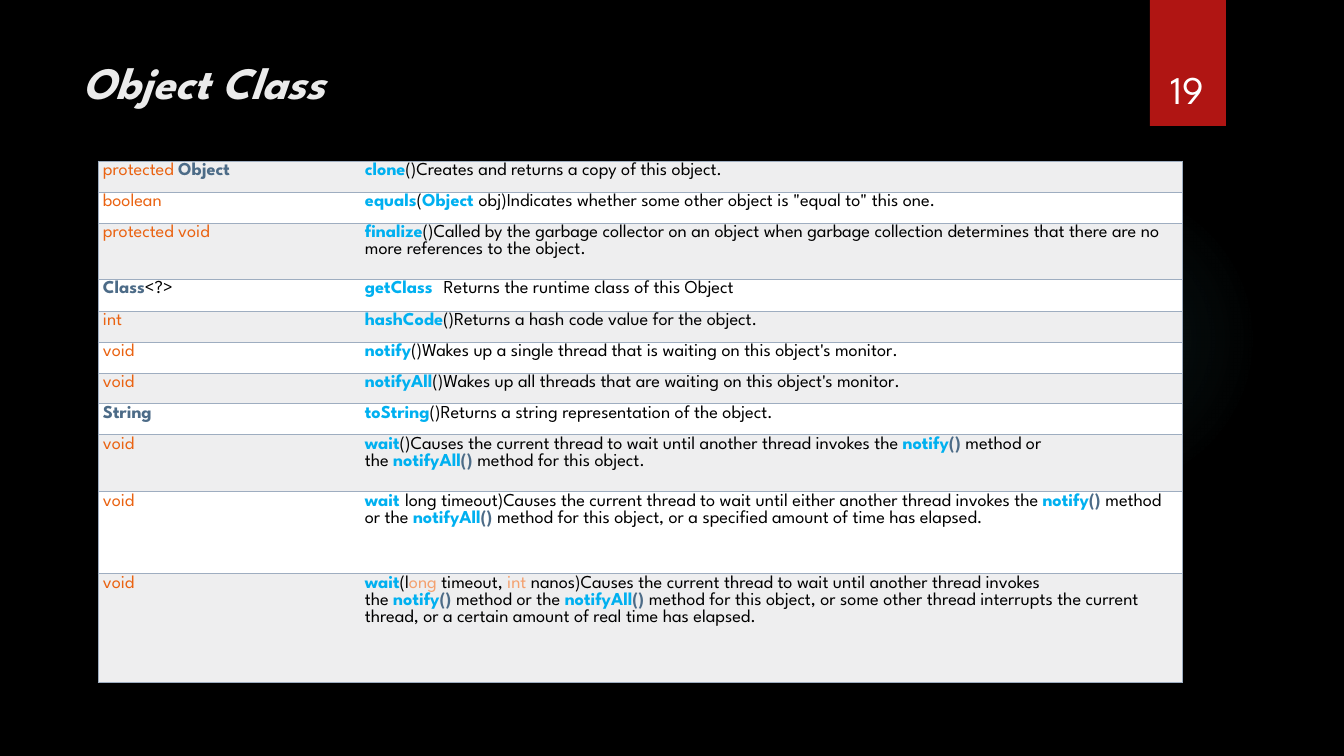
from lxml.etree import SubElement
from pptx import Presentation
from pptx.dml.color import RGBColor
from pptx.enum.shapes import MSO_SHAPE as Shape
from pptx.enum.text import MSO_ANCHOR as Anchor, MSO_AUTO_SIZE as AutoSize, PP_ALIGN as Align
from pptx.oxml import parse_xml
from pptx.oxml.ns import nsdecls, qn
from pptx.util import Pt

EMU_PER_PX = 914400 / 100.8
FONT = "League Spartan"
COLORS = {
    "back": "000000", "title": "EBEBEB", "ribbon": "B01513", "number": "FFFFFF",
    "glow": "50B9C1", "rule": "9EADC0", "band": "EEEEEF", "plain": "FFFFFF",
    "keyword": "EA6312", "type": "4C6B87", "method": "00B0F0",
    "text": "000000", "blank": "FFFFFF", "faded": "F4A16F",
}
BOLD_STYLES = {"type", "method"}

NOTIFY = [("method", "notify"), ("type", "()\u00a0")]
NOTIFY_ALL = [("method", "notifyAll"), ("type", "()\u00a0")]
VOID = [("keyword", "void")]


def method(name, *spans):
    return [("method", name), *spans]


METHODS = [
    (31, [("keyword", "protected\u00a0"), ("type", "Object")],
     method("clone", ("text", "()Creates and returns a copy of this object."))),
    (31, [("keyword", "boolean")],
     method("equals", ("text", "("), ("method", "Object\u00a0"),
            ("text", 'obj)Indicates whether some other object is "equal to" this one.'))),
    (56, [("keyword", "protected void")],
     method("finalize", ("text", "()Called by the garbage collector on an object when garbage "
                         "collection determines that there are no more references to the object."))),
    (32, [("type", "Class"), ("text", "<?>")],
     method("getClass", ("blank", "()"),
            ("text", "Returns the runtime class of this\u00a0Object"), ("blank", "."))),
    (31, [("keyword", "int")],
     method("hashCode", ("text", "()Returns a hash code value for the object."))),
    (31, VOID,
     method("notify", ("text", "()Wakes up a single thread that is waiting on this object's monitor."))),
    (31, VOID,
     method("notifyAll", ("text", "()Wakes up all threads that are waiting on this object's monitor."))),
    (31, [("type", "String")],
     method("toString", ("text", "()Returns a string representation of the object."))),
    (57, VOID,
     method("wait", ("text", "()Causes the current thread to wait until another thread invokes the\u00a0"),
            *NOTIFY, ("text", "method or the\u00a0"), *NOTIFY_ALL,
            ("text", "method for this object."))),
    (82, VOID,
     method("wait", ("blank", "("),
            ("text", "long\u00a0timeout)Causes the current thread to wait until either "
             "another thread invokes the\u00a0"),
            *NOTIFY, ("text", "method or the\u00a0"), *NOTIFY_ALL,
            ("text", "method for this object, or a specified amount of time has elapsed."))),
    (109, VOID,
     method("wait", ("text", "(l"), ("faded", "ong"), ("text", "\u00a0timeout, "),
            ("faded", "int\u00a0"),
            ("text", "nanos)Causes the current thread to wait until another thread invokes the\u00a0"),
            *NOTIFY, ("text", "method or the\u00a0"), *NOTIFY_ALL,
            ("text", "method for this object, or some other thread interrupts the current "
             "thread, or a certain amount of real time has elapsed."))),
]


def px(length):
    return round(length * EMU_PER_PX)


def color(name):
    return RGBColor.from_string(COLORS[name])


def add_text(para, text, *, size, fill, bold=False, italic=False, align=Align.LEFT):
    para.alignment = align
    span = para.add_run()
    span.text = text
    span.font.name = FONT
    span.font.size = Pt(size)
    span.font.bold = bold
    span.font.italic = italic
    span.font.color.rgb = color(fill)


def add_plain_shape(page, kind, box):
    shape = page.shapes.add_shape(kind, *map(px, box))
    shape.shadow.inherit = False
    shape.line.fill.background()
    return shape


def add_glow(page, box):
    glow = add_plain_shape(page, Shape.OVAL, box)
    glow.fill.background()
    stops = "".join(
        f'<a:gs pos="{place * 1000}"><a:srgbClr val="{COLORS["glow"]}">'
        f'<a:alpha val="{alpha * 1000}"/></a:srgbClr></a:gs>'
        for place, alpha in ((0, 7), (36, 6), (69, 0), (100, 0)))
    gradient = parse_xml(
        f'<a:gradFill {nsdecls("a")}><a:gsLst>{stops}</a:gsLst><a:path path="circle">'
        '<a:fillToRect l="50000" t="50000" r="50000" b="50000"/></a:path></a:gradFill>')
    properties = glow.element.spPr
    properties.replace(properties.find(qn("a:noFill")), gradient)


def add_ribbon(page, box, number):
    left, top, width, height = box
    ribbon = add_plain_shape(page, Shape.RECTANGLE, box)
    ribbon.fill.solid()
    ribbon.fill.fore_color.rgb = color("ribbon")
    label = page.shapes.add_textbox(px(left - 9), px(top + 32), px(width + 17), px(height - 41))
    frame = label.text_frame
    frame.word_wrap = True
    frame.vertical_anchor = Anchor.BOTTOM
    add_text(frame.paragraphs[0], number, size=28, fill="number", align=Align.CENTER)


def set_title(page, box, text):
    title = page.shapes.title
    title.left, title.top, title.width, title.height = map(px, box)
    frame = title.text_frame
    frame.auto_size = AutoSize.NONE
    frame.vertical_anchor = Anchor.TOP
    add_text(frame.paragraphs[0], text, size=32, fill="title", bold=True, italic=True)


def set_borders(cell, visible):
    properties = cell._tc.get_or_add_tcPr()
    for index, side in enumerate("LRTB"):
        line = SubElement(properties, qn(f"a:ln{side}"), w=str(Pt(0.75)))
        properties.insert(index, line)
        if side in visible:
            fill = SubElement(line, qn("a:solidFill"))
            SubElement(fill, qn("a:srgbClr"), val=COLORS["rule"])
        else:
            SubElement(line, qn("a:noFill"))


def fill_cell(cell, spans, background, borders):
    cell.margin_left = px(5)
    cell.margin_right = cell.margin_top = cell.margin_bottom = px(2)
    cell.fill.solid()
    cell.fill.fore_color.rgb = color(background)
    set_borders(cell, borders)
    for style, text in spans:
        add_text(cell.text_frame.paragraphs[0], text, size=13, fill=style,
                 bold=style in BOLD_STYLES)


def add_method_table(page, box, type_width):
    table = page.shapes.add_table(len(METHODS), 2, *map(px, box)).table
    table.first_row = table.horz_banding = False
    for column, width in zip(table.columns, (type_width, box[2] - type_width)):
        column.width = px(width)
    for index, (height, *contents) in enumerate(METHODS):
        table.rows[index].height = px(height)
        background = "plain" if index % 2 else "band"
        for column, (spans, side) in enumerate(zip(contents, "LR")):
            fill_cell(table.cell(index, column), spans, background, side + "TB")


def build_object_class(deck):
    page = deck.slides.add_slide(deck.slide_layouts.get_by_name("Title Only"))
    page.background.fill.solid()
    page.background.fill.fore_color.rgb = color("back")
    add_glow(page, (949, 184, 310, 310))
    set_title(page, (72, 50, 1037, 154), "Object Class")
    add_method_table(page, (98, 161, 1085, 522), 262)
    add_ribbon(page, (1150, 0, 76, 126), "19")


deck = Presentation()
deck.slide_width, deck.slide_height = px(1344), px(756)
build_object_class(deck)
deck.save("out.pptx")
